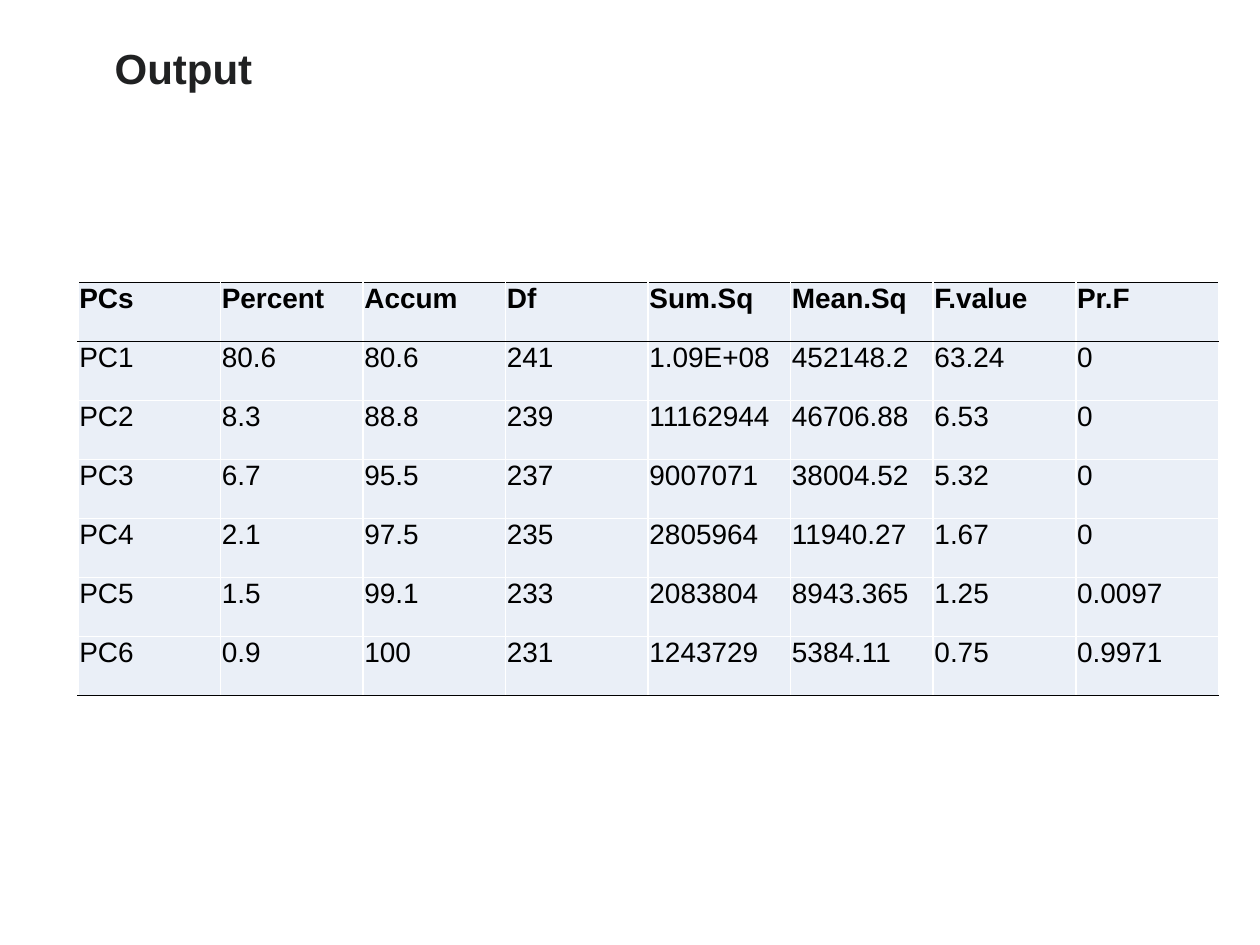
from lxml import etree
from pptx import Presentation
from pptx.dml.color import RGBColor
from pptx.enum.text import MSO_ANCHOR, MSO_AUTO_SIZE, PP_ALIGN
from pptx.oxml.ns import qn
from pptx.util import Inches, Pt

TOP = MSO_ANCHOR.TOP
LEFT = PP_ALIGN.LEFT
GROW = MSO_AUTO_SIZE.SHAPE_TO_FIT_TEXT

# Content
TITLE = "Output"
ROWS = [
    ("PCs", "Percent", "Accum", "Df", "Sum.Sq", "Mean.Sq", "F.value", "Pr.F"),
    ("PC1", "80.6", "80.6", "241", "1.09E+08", "452148.2", "63.24", "0"),
    ("PC2", "8.3", "88.8", "239", "11162944", "46706.88", "6.53", "0"),
    ("PC3", "6.7", "95.5", "237", "9007071", "38004.52", "5.32", "0"),
    ("PC4", "2.1", "97.5", "235", "2805964", "11940.27", "1.67", "0"),
    ("PC5", "1.5", "99.1", "233", "2083804", "8943.365", "1.25", "0.0097"),
    ("PC6", "0.9", "100", "231", "1243729", "5384.11", "0.75", "0.9971"),
]
COLORS = {"title": "202122", "text": "000000", "rule": "000000",
          "grid": "FFFFFF", "cell": "EAEFF7"}

# Layout
TITLE_AT = (0.81, 0.29, 1.53, 0.5)
TABLE_AT = (0.62, 2.24, 9.05, 3.28)
TITLE_FRAME = {"vertical_anchor": TOP, "word_wrap": False, "auto_size": GROW}
CELL_FRAME = {"margin_left": Inches(0.01), "margin_right": Inches(0.01),
              "margin_top": Inches(0.01), "margin_bottom": 0,
              "vertical_anchor": TOP}


def apply(target, values):
    for name, value in values.items():
        setattr(target, name, value)


def format_text(para, size, color, bold):
    para.alignment = LEFT
    font = para.runs[0].font
    apply(font, {"name": "Arial", "size": Pt(size), "bold": bold})
    font.color.rgb = RGBColor.from_string(COLORS[color])


def add_border(cell, side, color):
    properties = cell._tc.get_or_add_tcPr()
    line = etree.SubElement(properties, qn(f"a:ln{side}"), w=str(Pt(1)))
    fill = etree.SubElement(line, qn("a:solidFill"))
    etree.SubElement(fill, qn("a:srgbClr"), val=COLORS[color])


deck = Presentation()
deck.slide_width, deck.slide_height = Inches(10), Inches(7.5)
page = deck.slides.add_slide(deck.slide_layouts[5])

# Title
title = page.shapes.title
apply(title, dict(zip(("left", "top", "width", "height"), map(Inches, TITLE_AT))))
title.text_frame.text = TITLE
apply(title.text_frame, TITLE_FRAME)
format_text(title.text_frame.paragraphs[0], 24, "title", True)

# Table with equal rows and columns
last = len(ROWS) - 1
left, top, width, height = map(Inches, TABLE_AT)
table = page.shapes.add_table(len(ROWS), len(ROWS[0]), left, top, width, height).table
table.horz_banding = False

for r, row in enumerate(ROWS):
    # Black rules enclose the header and close the table
    borders = {"L": "grid", "R": "grid",
               "T": "rule" if r <= 1 else "grid",
               "B": "rule" if r in (0, last) else "grid"}
    for c, value in enumerate(row):
        cell = table.cell(r, c)
        cell.text = value
        apply(cell, CELL_FRAME)
        for side, color in borders.items():
            add_border(cell, side, color)
        cell.fill.solid()
        cell.fill.fore_color.rgb = RGBColor.from_string(COLORS["cell"])
        format_text(cell.text_frame.paragraphs[0], 16, "text", r == 0)

deck.save("out.pptx")
